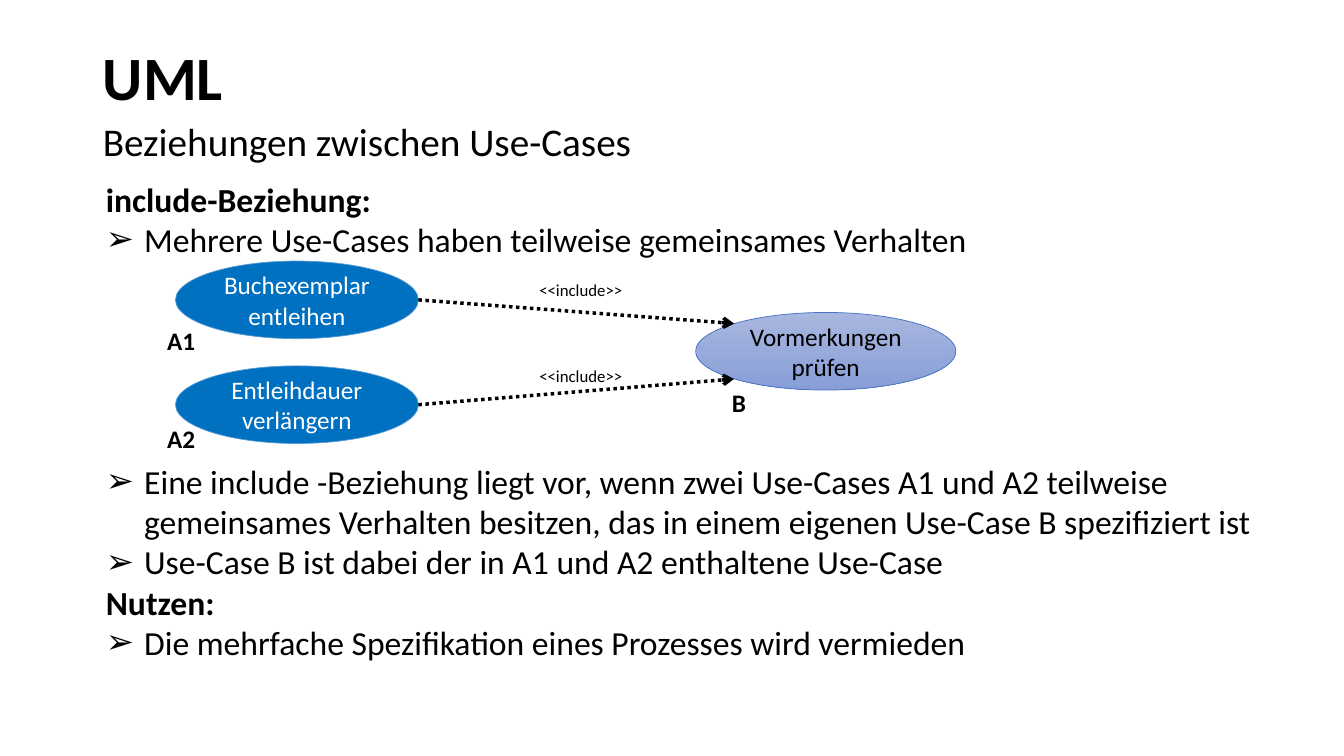
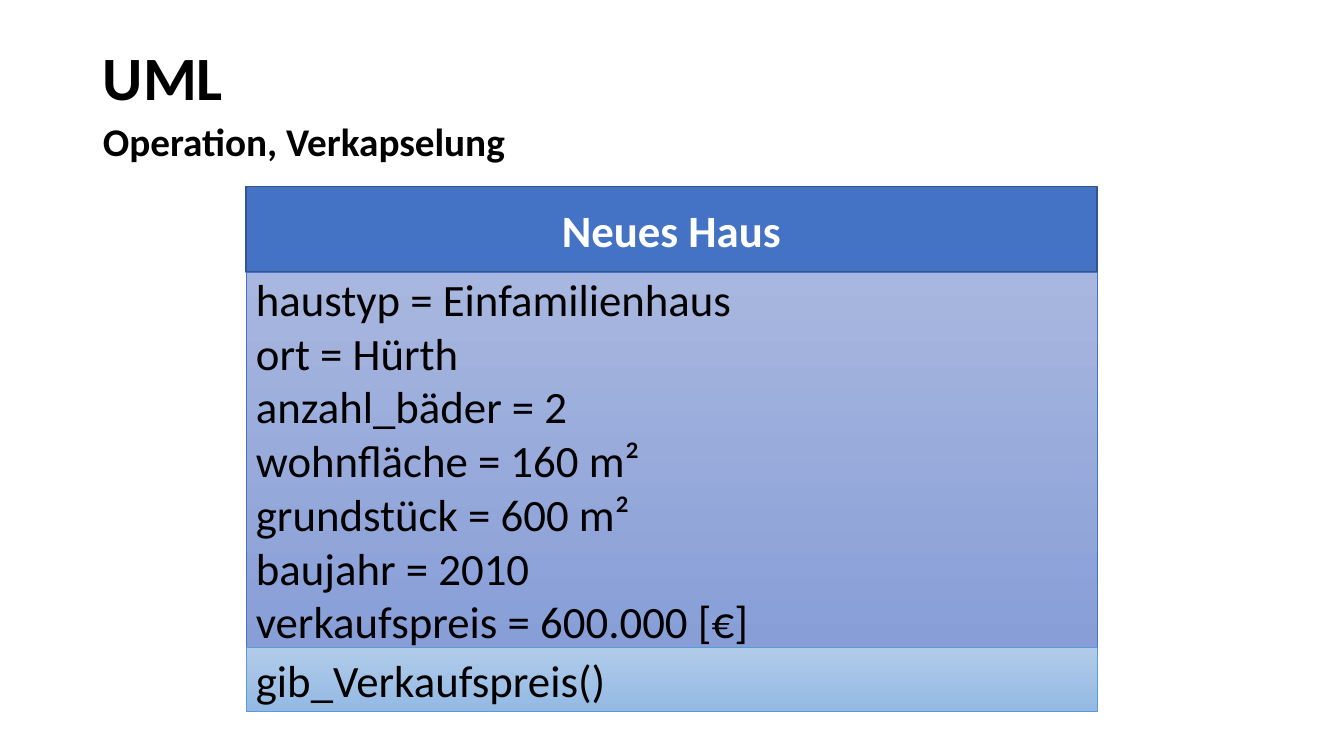
"""Build two UML teaching slides: the include relationship and encapsulation."""
from lxml import etree
from pptx import Presentation
from pptx import util as u
from pptx.dml.color import RGBColor
from pptx.enum import dml, shapes, text
from pptx.oxml.ns import qn

CELL = u.Inches(0.1)
COLUMNS, ROWS = 133.3, 75
MARGIN, TEXT_WIDTH = 9.2, 115
FONT = "Calibri"
BLACK = RGBColor(0x00, 0x00, 0x00)
WHITE = RGBColor(0xFF, 0xFF, 0xFF)
BLUE = RGBColor(0x44, 0x72, 0xC4)
DARK_BLUE = RGBColor(0x32, 0x54, 0x91)
SKY_BLUE = RGBColor(0x5B, 0x9B, 0xD5)
CASE_BLUE = RGBColor(0x00, 0x70, 0xC0)
LAVENDER = [RGBColor(0xA8, 0xB7, 0xDF), RGBColor(0x88, 0x9E, 0xD7)]
PALE_BLUE = [RGBColor(0xB1, 0xCB, 0xE9), RGBColor(0x93, 0xB9, 0xE4)]

LEFT = {"alignment": text.PP_ALIGN.LEFT, "space_before": u.Pt(0)}
CENTER = {**LEFT, "alignment": text.PP_ALIGN.CENTER}
TOP, MIDDLE = text.MSO_ANCHOR.TOP, text.MSO_ANCHOR.MIDDLE
OVAL, RECTANGLE = shapes.MSO_SHAPE.OVAL, shapes.MSO_SHAPE.RECTANGLE
BULLET_INDENT = u.Inches(0.38)
DIAGRAM_GAP = u.Pt(144)


def grid(*cells):
    """Convert grid cells to slide lengths."""
    return [u.Emu(round(cell * CELL)) for cell in cells]


def apply(target, values):
    """Set each named format value on the target."""
    for name, value in values.items():
        setattr(target, name, value)


def font(points, color=BLACK, bold=False):
    """Return the format values of a text style."""
    return {"size": u.Pt(points), "name": FONT, "bold": bold, "color": color}


def add_span(para, words, style):
    """Add a formatted run to a paragraph."""
    span = para.add_run()
    span.text = words
    values = dict(style)
    span.font.color.rgb = values.pop("color")
    apply(span.font, values)


def set_bullet(para, char=None):
    """Give a paragraph a hanging bullet, or clear the inherited one."""
    properties = para._p.get_or_add_pPr()
    indent = BULLET_INDENT if char else 0
    properties.set("marL", str(int(indent)))
    properties.set("indent", str(int(-indent)))
    mark = etree.SubElement(properties, qn("a:buChar" if char else "a:buNone"))
    if char:
        mark.set("char", char)


def write(box, lines, style, layout=LEFT, anchor=TOP):
    """Fill a box with one paragraph per line and return the paragraphs."""
    frame = box.text_frame
    apply(frame, {"word_wrap": True, "vertical_anchor": anchor,
                  "auto_size": text.MSO_AUTO_SIZE.NONE})
    paras = []
    for line in lines:
        para = frame.add_paragraph() if paras else frame.paragraphs[0]
        apply(para, layout)
        add_span(para, line, style)
        paras.append(para)
    return paras


def place(box, *cells):
    """Move a placeholder to a grid area."""
    apply(box, dict(zip(("left", "top", "width", "height"), grid(*cells))))
    return box


def add_page(deck, layout, subtitle, bold=False):
    """Add a slide with the shared title and a subtitle."""
    page = deck.slides.add_slide(deck.slide_layouts.get_by_name(layout))
    title = place(page.shapes.title, MARGIN, 4, TEXT_WIDTH, 8)
    write(title, ["UML"], font(44, bold=True), {**LEFT, "line_spacing": 0.9}, MIDDLE)
    body = place(page.placeholders[1], MARGIN, 12, TEXT_WIDTH, 5)
    set_bullet(write(body, [subtitle], font(28, bold=bold),
                     {**LEFT, "line_spacing": 0.8})[0])
    return page


def add_list(box, entries):
    """Write headings in bold and points with arrow bullets."""
    frame = box.text_frame
    apply(frame, {"word_wrap": True, "auto_size": text.MSO_AUTO_SIZE.NONE})
    for index, (words, is_point, gap) in enumerate(entries):
        para = frame.add_paragraph() if index else frame.paragraphs[0]
        set_bullet(para, "➢" if is_point else None)
        apply(para, {**LEFT, "space_before": u.Emu(gap)})
        add_span(para, words, font(24, bold=not is_point))


def add_figure(parent, kind, cells, lines, style, fill, edge, weight=0.5, layout=CENTER):
    """Add a shape with a solid fill or a vertical two-colour gradient."""
    figure = parent.add_shape(kind, *grid(*cells))
    figure.shadow.inherit = False
    if isinstance(fill, list):
        figure.fill.gradient()
        figure.fill.gradient_angle = 270
        for stop, color in zip(figure.fill.gradient_stops, fill):
            stop.color.rgb = color
    else:
        figure.fill.solid()
        figure.fill.fore_color.rgb = fill
    figure.line.color.rgb = edge
    figure.line.width = u.Pt(weight)
    write(figure, lines, style, layout, MIDDLE)


def add_label(page, cells, words, style):
    """Add a short text label."""
    write(page.shapes.add_textbox(*grid(*cells)), [words], style)


def add_dependency(page, start, end):
    """Add a dotted arrow between two grid points."""
    arrow = page.shapes.add_connector(shapes.MSO_CONNECTOR.STRAIGHT, *grid(*start, *end))
    arrow.line.color.rgb = BLACK
    apply(arrow.line, {"width": u.Pt(2.5), "dash_style": dml.MSO_LINE.ROUND_DOT})
    etree.SubElement(arrow.line._get_or_add_ln(), qn("a:tailEnd"), type="arrow")
    etree.SubElement(arrow._element.spPr, qn("a:effectLst"))


def build_include(deck):
    """Build the slide on the include relationship."""
    page = add_page(deck, "Two Content", "Beziehungen zwischen Use-Cases")
    add_list(place(page.placeholders[2], 9.5, 17.2, 116, 52.5), [
        ("include-Beziehung:", False, 0),
        ("Mehrere Use-Cases haben teilweise gemeinsames Verhalten", True, 0),
        ("Eine include -Beziehung liegt vor, wenn zwei Use-Cases A1 und A2 teilweise "
         "gemeinsames Verhalten besitzen, das in einem eigenen Use-Case B spezifiziert ist",
         True, DIAGRAM_GAP),
        ("Use-Case B ist dabei der in A1 und A2 enthaltene Use-Case", True, 0),
        ("Nutzen:", False, 0),
        ("Die mehrfache Spezifikation eines Prozesses wird vermieden", True, 0),
    ])
    left, width, height = 17.4, 24.1, 7.7
    add_figure(page.shapes, OVAL, (69, 31, 25.8, height), ["Vormerkungen prüfen"],
               font(18), LAVENDER, BLUE)
    add_label(page, (71.6, 37.9, 3.6, 4.2), "B", font(18, bold=True))
    cases = [("A1", "Buchexemplar entleihen", 25.9, 32.1, 27.3, 31.8),
             ("A2", "Entleihdauer verlängern", 36.3, 37.6, 35.8, 41.5)]
    for name, words, top, target, include_top, name_top in cases:
        add_figure(page.shapes, OVAL, (left, top, width, height), [words],
                   font(18, WHITE), CASE_BLUE, SKY_BLUE)
        add_dependency(page, (left + width, top + height / 2), (72.8, target))
        add_label(page, (52.5, include_top, 11.8, 3), "<<include>>", font(12))
        add_label(page, (15.6, name_top, 4.9, 4), name, font(18, bold=True))


def build_object(deck):
    """Build the slide with the object card."""
    page = add_page(deck, "Title and Content", "Operation, Verkapselung", bold=True)
    attributes = ["haustyp = Einfamilienhaus", "ort = Hürth", "anzahl_bäder = 2",
                  "wohnfläche = 160 m²", "grundstück = 600 m²", "baujahr = 2010",
                  "verkaufspreis = 600.000 [€]"]
    sections = [
        (8.5, ["Neues Haus"], font(32, WHITE, True), BLUE, DARK_BLUE, 1, CENTER),
        (37.2, attributes, font(32), LAVENDER, BLUE, 0.5, LEFT),
        (6.4, ["gib_Verkaufspreis()"], font(32), PALE_BLUE, SKY_BLUE, 0.5, LEFT),
    ]
    card = page.shapes.add_group_shape()
    top = 18.5
    for height, *content in sections:
        add_figure(card.shapes, RECTANGLE, (24.4, top, 84.4, height), *content)
        top += height


def main():
    """Build and save the deck."""
    deck = Presentation()
    deck.slide_width, deck.slide_height = grid(COLUMNS, ROWS)
    build_include(deck)
    build_object(deck)
    deck.save("out.pptx")


if __name__ == "__main__":
    main()
